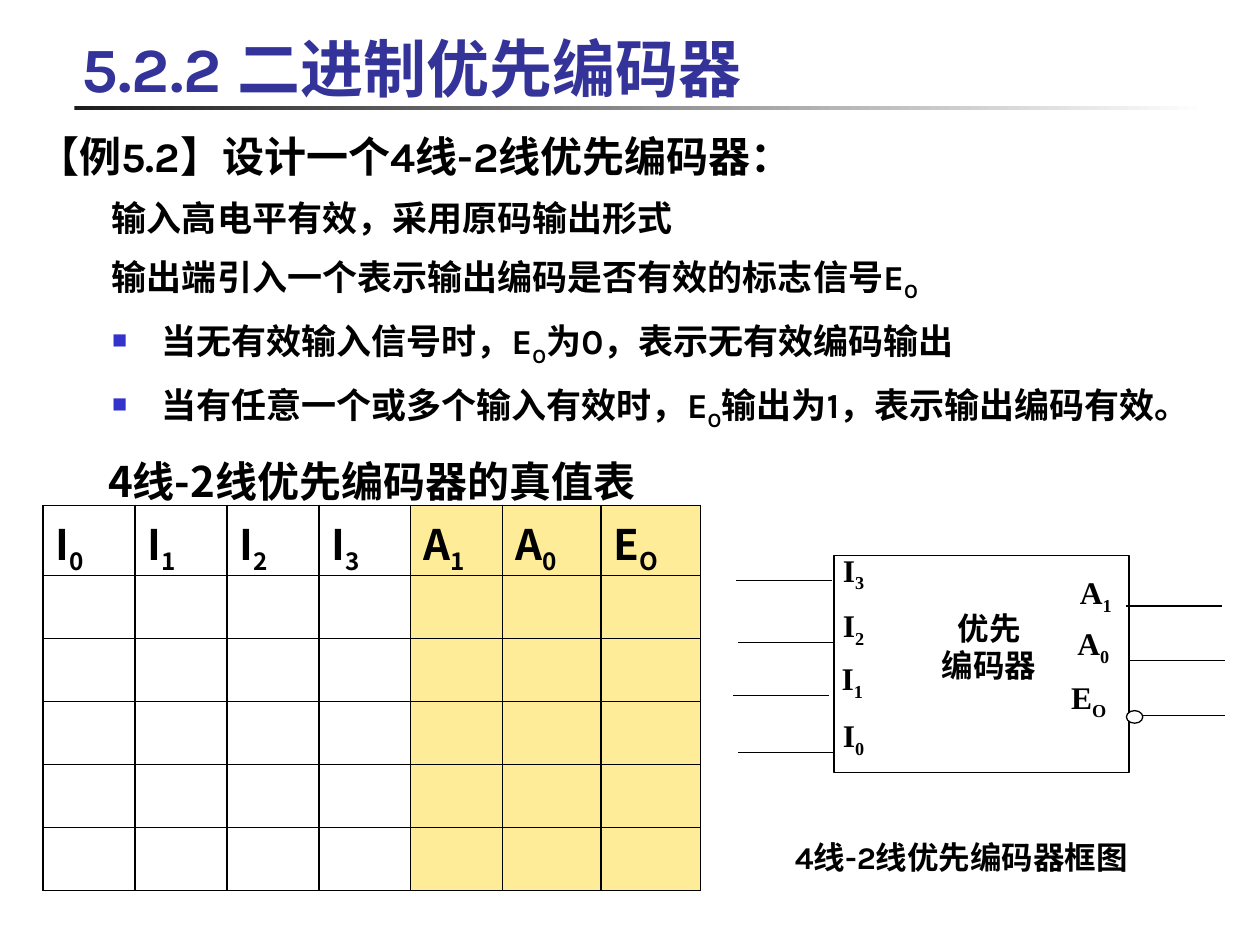
from lxml import etree
from pptx import Presentation
from pptx import util as u
from pptx.dml.color import RGBColor
from pptx.enum import shapes, text
from pptx.oxml import parse_xml
from pptx.oxml.ns import qn

NS = 'xmlns:a="http://schemas.openxmlformats.org/drawingml/2006/main"'
KARLA, NOTO, TIMES = "Karla", "Noto Sans CJK SC", "Times New Roman"
BLACK, CREAM = "000000", "FFEC99"
MID = text.MSO_ANCHOR.MIDDLE
CENTER = text.PP_ALIGN.CENTER


def rgb(code):
    return RGBColor.from_string(code)


def box(*at):
    return [u.Inches(v) for v in at]


def add_run(par, words, size, font, color, sub=False):
    run = par.add_run()
    run.text = words
    run.font.size = u.Pt(size)
    run.font.bold = True
    run.font.name = font
    run.font.color.rgb = rgb(color)
    props = run._r.get_or_add_rPr()
    etree.SubElement(props, qn("a:ea")).set("typeface", NOTO)
    if sub:
        props.set("baseline", "-25000")


def write(par, words, size=18, font=KARLA, color=BLACK, align=None):
    """Fill a paragraph; the character after each "_" is a subscript."""
    par.alignment = align
    first, *rest = words.split("_")
    add_run(par, first, size, font, color)
    for part in rest:
        add_run(par, part[0], size, font, color, sub=True)
        if part[1:]:
            add_run(par, part[1:], size, font, color)


def add_text(slide, at, words, pad=True, anchor=text.MSO_ANCHOR.TOP, **fmt):
    frame = slide.shapes.add_textbox(*box(*at)).text_frame
    frame.word_wrap = True
    frame.vertical_anchor = anchor
    if not pad:
        frame.margin_left = frame.margin_right = 0
        frame.margin_top = frame.margin_bottom = 0
    for i, line in enumerate(words.split("\n")):
        par = frame.add_paragraph() if i else frame.paragraphs[0]
        write(par, line, **fmt)
    return frame


def add_shape(slide, kind, at, fill=None):
    shape = slide.shapes.add_shape(kind, *box(*at))
    shape.shadow.inherit = False
    shape.line.color.rgb = rgb(BLACK)
    shape.line.width = u.Pt(0.75)
    if fill:
        shape.fill.solid()
        shape.fill.fore_color.rgb = rgb(fill)
    else:
        shape.fill.background()
    return shape


def add_wire(slide, x, y, size=0.76):
    wire = slide.shapes.add_connector(
        shapes.MSO_CONNECTOR.STRAIGHT, *box(x, y, x + size, y))
    wire.line.color.rgb = rgb(BLACK)
    wire.line.width = u.Pt(0.75)
    etree.SubElement(wire._element.spPr, qn("a:effectLst"))


def add_rule(slide):
    """Fading bar under the title."""
    bar = add_shape(slide, shapes.MSO_SHAPE.RECTANGLE, (0.59, 0.84, 9, 0.03))
    bar.line.fill.background()
    bar.fill.gradient()
    bar.fill.gradient_angle = 0
    for stop, code in zip(bar.fill.gradient_stops, ("1C1C1C", "FFFFFF")):
        stop.color.rgb = rgb(code)


def indent(par, left, hang=0, mark=None):
    props = par._p.get_or_add_pPr()
    props.set("marL", str(u.Inches(left)))
    props.set("indent", str(u.Inches(hang)))
    if mark:
        for xml in (f'<a:buClr {NS}><a:srgbClr val="3333CC"/></a:buClr>',
                    f'<a:buSzPct {NS} val="60000"/>',
                    f'<a:buChar {NS} char="{mark}"/>'):
            props.append(parse_xml(xml))


def add_body(slide):
    frame = add_text(slide, (0.2, 0.91, 9.8, 2.2),
                     "【例5.2】设计一个4线-2线优先编码器：", size=24)
    frame.paragraphs[0].line_spacing = 1.2
    lines = [
        ("输入高电平有效，采用原码输出形式", (0, 0.59)),
        ("输出端引入一个表示输出编码是否有效的标志信号E_O", (0, 0.59)),
        ("当无有效输入信号时，E_O为0，表示无有效编码输出", (0.98, -0.39, "■")),
        ("当有任意一个或多个输入有效时，E_O输出为1，表示输出编码有效。",
         (0.98, -0.39, "■")),
    ]
    for words, place in lines:
        par = frame.add_paragraph()
        indent(par, *place)
        par.line_spacing = 1.2
        par.space_before = u.Pt(4)
        write(par, words, size=20)


def edge(cell, sides):
    """Draw the named sides of a cell and blank the others."""
    props = cell._tc.get_or_add_tcPr()
    for side in "LRTB":
        ink = (f'<a:solidFill><a:srgbClr val="{BLACK}"/></a:solidFill>'
               if side in sides else "<a:noFill/>")
        props.append(parse_xml(f'<a:ln{side} {NS} w="12700">{ink}</a:ln{side}>'))


def add_truth(slide):
    heads = ["I_0", "I_1", "I_2", "I_3", "A_1", "A_0", "E_O"]
    wide = [0.73] * 5 + [0.78, 0.79]
    grid = slide.shapes.add_table(
        7, len(heads), *box(0.34, 3.51, sum(wide), 3.5)).table
    grid.first_row = grid.horz_banding = False
    for col, width in zip(grid.columns, wide):
        col.width = u.Inches(width)
    for r, row in enumerate(grid.rows):
        row.height = u.Inches(0.5)
        for c, cell in enumerate(row.cells):
            cell.vertical_anchor = MID
            edge(cell, "LRTB" if r else "B")
            if r and c > 3:
                cell.fill.solid()
                cell.fill.fore_color.rgb = rgb(CREAM)
            else:
                cell.fill.background()
            if r == 1:
                write(cell.text_frame.paragraphs[0], heads[c],
                      size=24, font=NOTO)
    top = grid.cell(0, 0)
    top.merge(grid.cell(0, len(heads) - 1))
    write(top.text_frame.paragraphs[0], "4线-2线优先编码器的真值表",
          size=24, font=NOTO, align=CENTER)


def add_block(slide):
    """Block diagram of the encoder with its pins."""
    add_shape(slide, shapes.MSO_SHAPE.RECTANGLE, (6.62, 4.41, 2.34, 1.72))
    for x, y in [(5.84, 4.61), (5.86, 5.1), (5.82, 5.52), (5.86, 5.97),
                 (8.94, 4.81), (8.96, 5.24), (8.96, 5.68)]:
        add_wire(slide, x, y)
    add_shape(slide, shapes.MSO_SHAPE.OVAL, (8.94, 5.64, 0.13, 0.1), "FFFFFF")
    add_text(slide, (7.22, 4.83, 1.26, 0.96), "优先\n编码器",
             pad=False, font=TIMES, align=CENTER)
    pins = [("I_3", 6.69, 4.37), ("I_2", 6.69, 4.81), ("I_1", 6.68, 5.23),
            ("I_0", 6.69, 5.68), ("A_1", 8.57, 4.55), ("A_0", 8.55, 4.95),
            ("E_O", 8.5, 5.38)]
    for name, x, y in pins:
        add_text(slide, (x, y, 0.41, 0.53), name, pad=False, font=TIMES)
    add_text(slide, (6.21, 6.6, 2.99, 0.4), "4线-2线优先编码器框图", anchor=MID)


def main():
    deck = Presentation()
    deck.slide_width, deck.slide_height = box(10, 7.5)
    slide = deck.slides.add_slide(deck.slide_layouts[6])
    add_rule(slide)
    add_text(slide, (0.55, 0.36, 8.52, 0.52), "5.2.2 二进制优先编码器",
             anchor=text.MSO_ANCHOR.BOTTOM, size=36, color="333399")
    add_body(slide)
    add_block(slide)
    add_truth(slide)
    deck.save("out.pptx")


if __name__ == "__main__":
    main()
